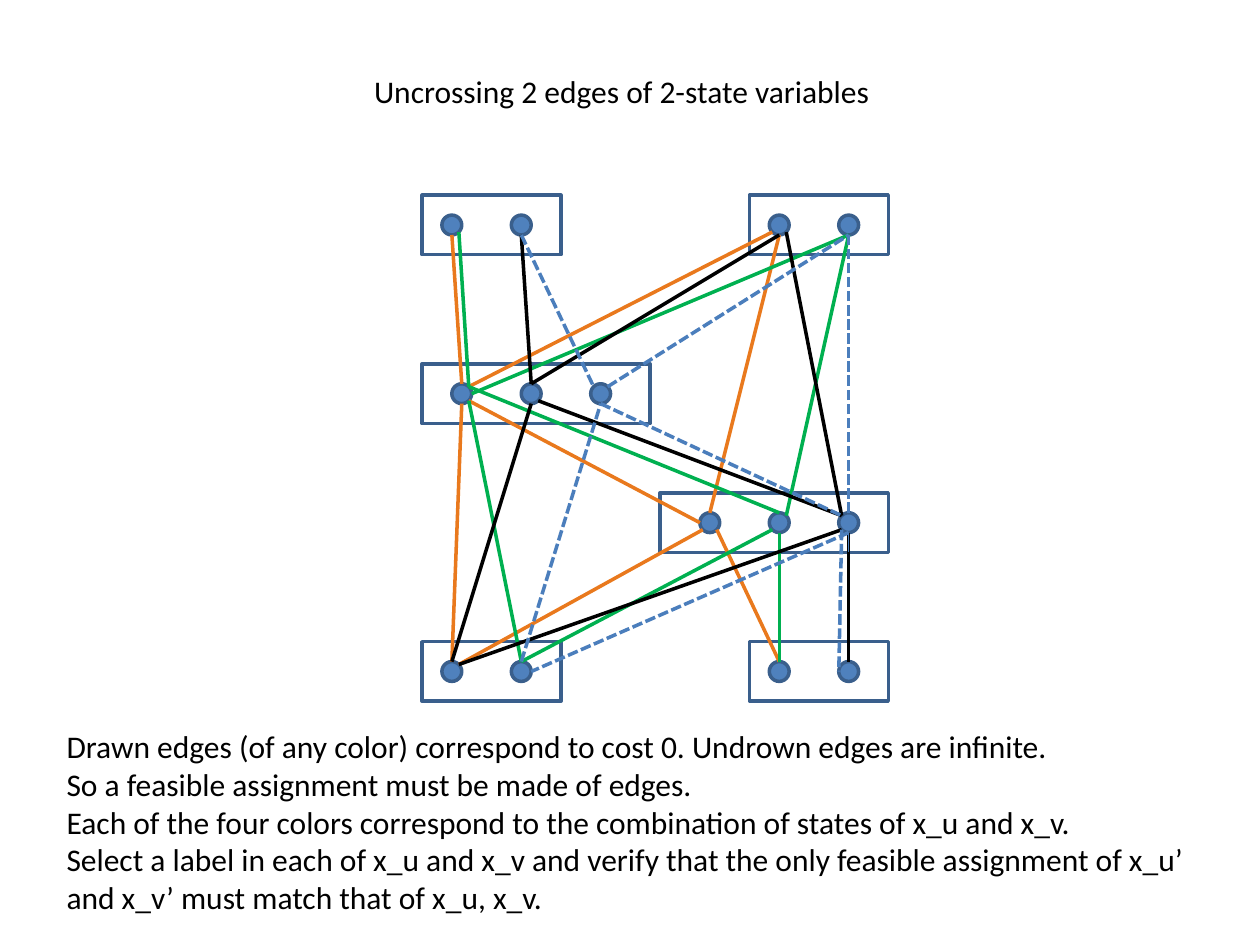
from dataclasses import dataclass
from math import sqrt

from lxml import etree
from pptx import Presentation
from pptx.dml.color import RGBColor
from pptx.enum.dml import MSO_LINE
from pptx.enum.shapes import MSO_CONNECTOR, MSO_SHAPE
from pptx.enum.text import MSO_AUTO_SIZE
from pptx.oxml.ns import qn
from pptx.util import Cm, Inches, Pt

RECT, OVAL = MSO_SHAPE.RECTANGLE, MSO_SHAPE.OVAL
STRAIGHT, DASH = MSO_CONNECTOR.STRAIGHT, MSO_LINE.SQUARE_DOT

# The graph sits on a 2 mm grid; all graph lengths are in grid cells
CELL = Cm(0.2)
ORIGIN_X, ORIGIN_Y = Inches(3.35), Inches(1.55)
BOX_ROWS, STATE_PITCH, STATE_ROW = 6, 7, 3
OUTLINE, STATE_FILL, BLUE, BLACK = "3A5F8C", "4F81BD", "4B7EBC", "000000"

# Points on the rim of a state, as shares of its radius (one cell)
DIAGONAL = 1 / sqrt(2)
COMPASS = {"N": (0, -1), "S": (0, 1), "E": (1, 0), "W": (-1, 0)}
for vertical in "NS":
    for side in "EW":
        COMPASS[vertical + side] = (COMPASS[side][0] * DIAGONAL,
                                    COMPASS[vertical][1] * DIAGONAL)


@dataclass
class Variable:
    col: int
    row: int
    cols: int
    inset: int
    states: int

    def center(self, state: int) -> tuple[int, int]:
        return self.col + self.inset + state * STATE_PITCH, self.row + STATE_ROW


@dataclass
class Bundle:
    color: str
    dashed: bool
    edges: str


VARIABLES = {
    "a": Variable(0, 0, 14, 3, 2),
    "c": Variable(0, 45, 14, 3, 2),
    "b": Variable(33, 0, 14, 3, 2),
    "d": Variable(33, 45, 14, 3, 2),
    "m": Variable(0, 17, 23, 4, 3),
    "n": Variable(24, 30, 23, 5, 3),
}

# Each edge end reads: variable, state number, rim point
BUNDLES = [
    Bundle("E9791D", False, "a0S-m0N m0SE-n0W n0SE-d0N n0SW-c0NE n0N-b0S m0NE-b0SW c0N-m0S"),
    Bundle("00B050", False, "a0SE-m0NE m0NE-n1N n1S-d0N n1NE-b1S c1N-n1SW c1N-m0SE b1S-m0E"),
    Bundle(BLACK, False, "a1S-m1N m1SE-n2NW n2S-d1N m1N-b0S m1S-c0N n2SW-c0NE b0SE-n2NW"),
    Bundle(BLUE, True,
           "a1S-m2NW m2S-n2NW n2SW-d1W c1N-m2S m2NE-b1S n2S-c1E n2N-b1S"),
]

TITLE = [["Uncrossing 2 edges of 2-state variables"]]
EXPLANATION = [
    ["Drawn edges (of any color) correspond to cost 0. Undrown edges are infinite."],
    ["So a feasible assignment must be made of edges."],
    ["Each of the four colors correspond to the combination of states of x_u and x_v. ",
     "Select a label in each of x_u and x_v and verify that the only feasible assignment of x_u’ ",
     "and x_v’ must match that of x_u, x_v."],
]


def rgb(color: str) -> RGBColor:
    return RGBColor.from_string(color)


def grid(col: float, row: float) -> tuple[int, int]:
    return round(ORIGIN_X + col * CELL), round(ORIGIN_Y + row * CELL)


def rim(end: str) -> tuple[float, float]:
    x, y = VARIABLES[end[0]].center(int(end[1]))
    dx, dy = COMPASS[end[2:]]
    return x + dx, y + dy


def add_outlined(slide, preset, col: int, row: int, cols: int, rows: int, fill: str = "") -> None:
    shape = slide.shapes.add_shape(preset, *grid(col, row), cols * CELL, rows * CELL)
    shape.shadow.inherit = False
    if fill:
        shape.fill.solid()
        shape.fill.fore_color.rgb = rgb(fill)
    else:
        shape.fill.background()
    shape.line.color.rgb = rgb(OUTLINE)
    shape.line.width = Pt(2)


def add_edge(slide, start: tuple, end: tuple, color: str, dashed: bool = False,
             width: float = 2) -> None:
    edge = slide.shapes.add_connector(STRAIGHT, *grid(*start), *grid(*end))
    edge.line.color.rgb = rgb(color)
    edge.line.width = Pt(width)
    if dashed:
        edge.line.dash_style = DASH
    etree.SubElement(edge._element.spPr, qn("a:effectLst"))


def add_text(slide, left: float, top: float, width: float, height: float,
             paragraphs: list[list[str]]) -> None:
    box = slide.shapes.add_textbox(Inches(left), Inches(top), Inches(width), Inches(height))
    frame = box.text_frame
    frame.word_wrap = False
    frame.auto_size = MSO_AUTO_SIZE.SHAPE_TO_FIT_TEXT
    for index, lines in enumerate(paragraphs):
        paragraph = frame.add_paragraph() if index else frame.paragraphs[0]
        for number, line in enumerate(lines):
            if number:
                paragraph.add_line_break()
            run = paragraph.add_run()
            run.text = line
            run.font.name = "Calibri"
            run.font.size = Pt(18)
            run.font.color.rgb = rgb(BLACK)


def main() -> None:
    deck = Presentation()
    deck.slide_width, deck.slide_height = Inches(10), Inches(7.5)
    slide = deck.slides.add_slide(deck.slide_layouts[6])

    # Variables, then their states
    for variable in VARIABLES.values():
        add_outlined(slide, RECT, variable.col, variable.row, variable.cols, BOX_ROWS)
    for variable in VARIABLES.values():
        for state in range(variable.states):
            x, y = variable.center(state)
            add_outlined(slide, OVAL, x - 1, y - 1, 2, 2, STATE_FILL)

    # Zero-cost edges, one colour per combination of states
    for bundle in BUNDLES:
        for edge in bundle.edges.split():
            start, end = edge.split("-")
            add_edge(slide, rim(start), rim(end), bundle.color, bundle.dashed)

    # Short thin stub below the last state
    x, y = rim("n2S")
    add_edge(slide, (x, y), (x, y + 2), BLUE, width=0.75)

    # Title and explanation
    add_text(slide, 2.87, 0.52, 4.18, 0.4, TITLE)
    add_text(slide, 0.43, 5.72, 9.24, 1.62, EXPLANATION)
    deck.save("out.pptx")


if __name__ == "__main__":
    main()
